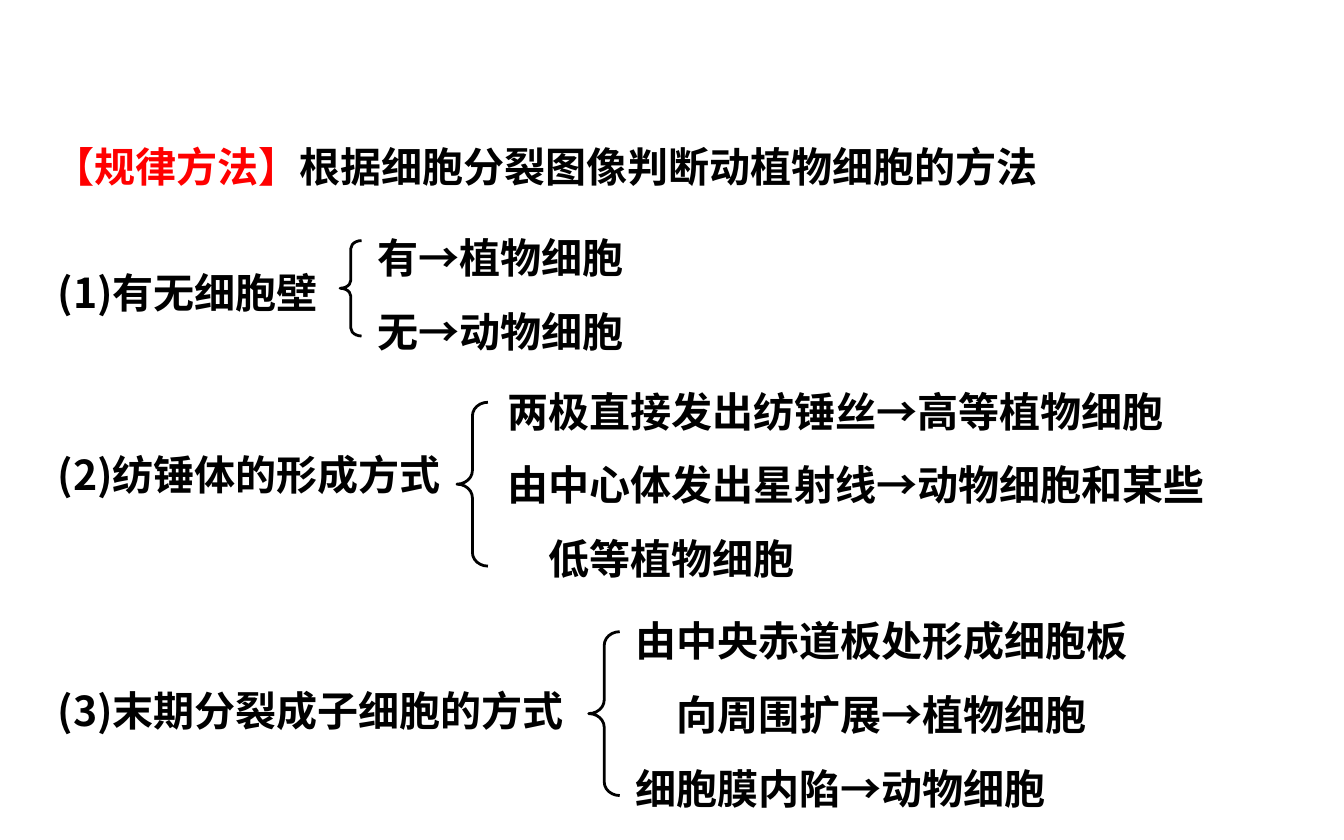
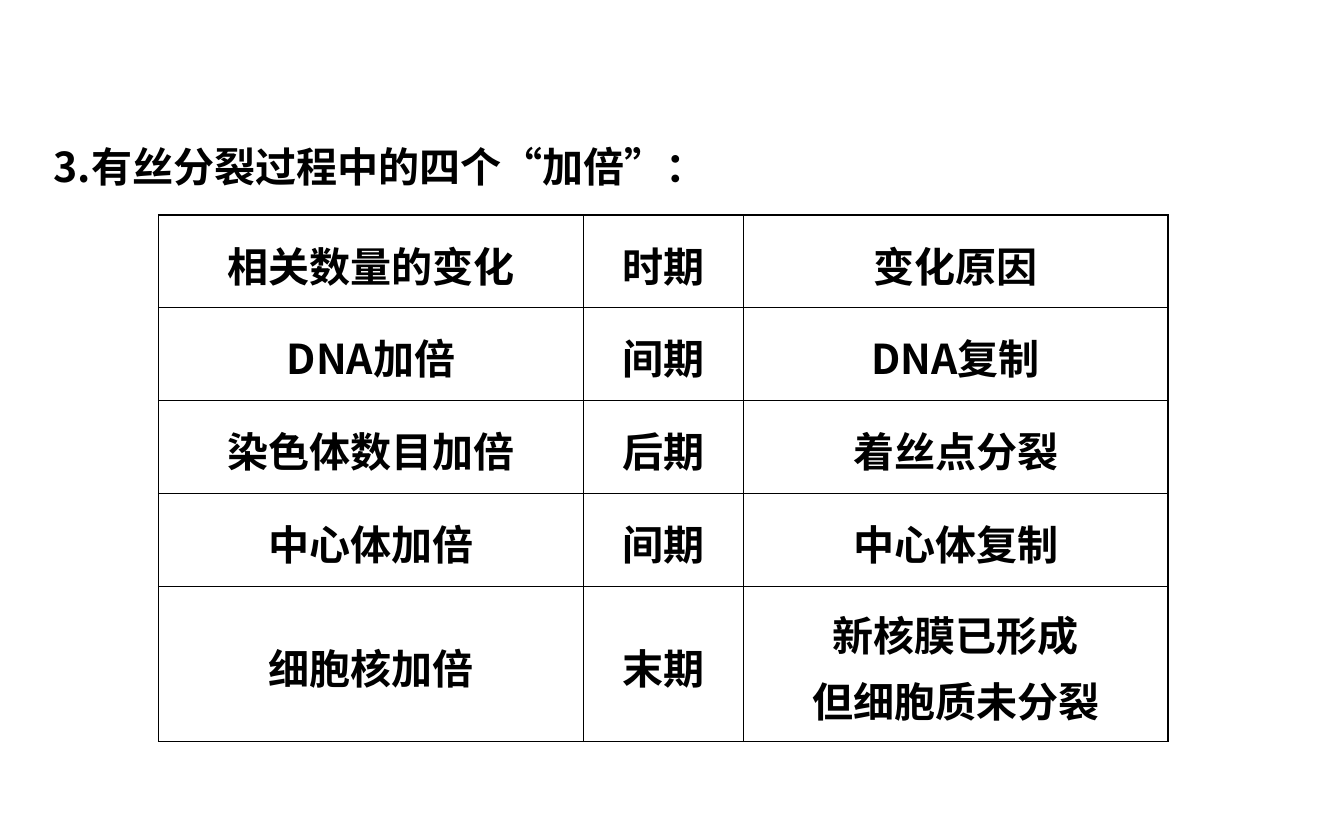
"""Build two slides on mitosis: telling cell types apart and the four doublings."""
from pptx import Presentation
from pptx.dml.color import RGBColor
from pptx.enum import shapes, text
from pptx.oxml import ns, xmlchemy
from pptx.util import Pt

BLACK = RGBColor(0x00, 0x00, 0x00)
RED = RGBColor(0xFF, 0x00, 0x00)
FACE = "Noto Sans CJK SC"
SIZE = 22
FONT = {"name": FACE, "size": Pt(SIZE), "bold": True}
BOX = {"word_wrap": True, "auto_size": text.MSO_AUTO_SIZE.SHAPE_TO_FIT_TEXT,
       "vertical_anchor": text.MSO_ANCHOR.TOP}
BODY = {"line_spacing": 1.5, "alignment": text.PP_ALIGN.LEFT}
CELL = {"line_spacing": 1.1, "alignment": text.PP_ALIGN.CENTER}
OUTER, INNER = 0.96, 0.45
LINE_HEIGHT = 46.8

GROUPS = [
    {"label": "(1)有无细胞壁", "label_box": (23.8, 126.7, 233.3),
     "brace": (182.2, 128.9, 11.5, 51.1), "branch_box": (195.1, 108, 360, 86.4),
     "branches": [("有→植物细胞", 0), ("无→动物细胞", 0)]},
    {"label": "(2)纺锤体的形成方式", "label_box": (23.8, 223.9, 290.9),
     "brace": (244.8, 215.5, 16.6, 87.8), "branch_box": (265, 190.1, 455, 126),
     "branches": [("两极直接发出纺锤丝→高等植物细胞", 0),
                  ("由中心体发出星射线→动物细胞和某些", 0),
                  ("低等植物细胞", 1)]},
    {"label": "(3)末期分裂成子细胞的方式", "label_box": (23.8, 350.6, 357.8),
     "brace": (315.4, 338.4, 16.6, 87.8), "branch_box": (333.4, 313.2, 432.7, 126),
     "branches": [("由中央赤道板处形成细胞板", 0),
                  ("向周围扩展→植物细胞", 1),
                  ("细胞膜内陷→动物细胞", 0)]},
]
DOUBLINGS = [
    ("相关数量的变化", "时期", "变化原因"),
    ("DNA加倍", "间期", "DNA复制"),
    ("染色体数目加倍", "后期", "着丝点分裂"),
    ("中心体加倍", "间期", "中心体复制"),
    ("细胞核加倍", "末期", "新核膜已形成\n但细胞质未分裂"),
]
COLUMN_WIDTHS = (227.5, 85.7, 227.5)
ROW_HEIGHTS = (49.7,) * 4 + (83.3,)


def apply(target, values):
    for name, value in values.items():
        setattr(target, name, value)


def add_run(p, content, color=BLACK):
    r = p.add_run()
    r.text = content
    r.font.color.rgb = color
    apply(r.font, FONT)
    ea = xmlchemy.OxmlElement("a:ea")
    ea.set("typeface", FACE)
    r.font._element.append(ea)


def add_lines(tf, lines, style):
    for i, (content, indent) in enumerate(lines):
        p = tf.add_paragraph() if i else tf.paragraphs[0]
        apply(p, style)
        if indent:
            p._p.get_or_add_pPr().set("marL", str(Pt(SIZE * indent)))
        add_run(p, content)


def add_title(s, runs):
    sp = s.shapes.title
    place = dict(zip(("left", "top", "width", "height"),
                     map(Pt, (21.6, 59, 679, LINE_HEIGHT))))
    apply(sp, place)
    apply(sp.text_frame, BOX)
    p = sp.text_frame.paragraphs[0]
    apply(p, BODY)
    for content, color in runs:
        add_run(p, content, color)


def add_text(s, box, lines):
    tf = s.shapes.add_textbox(*map(Pt, box)).text_frame
    apply(tf, BOX)
    add_lines(tf, lines, BODY)


def add_brace(s, box):
    sp = s.shapes.add_shape(shapes.MSO_SHAPE.LEFT_BRACE, *map(Pt, box))
    sp.shadow.inherit = False
    sp.fill.background()
    sp.line.color.rgb = BLACK
    sp.line.width = Pt(1.5)
    width, height = box[2:]
    sp.adjustments[0] = height / 12 / width


def add_border(cell, side, width):
    ln = xmlchemy.OxmlElement(f"a:ln{side}")
    ln.set("w", str(Pt(width)))
    fill = xmlchemy.OxmlElement("a:solidFill")
    color = xmlchemy.OxmlElement("a:srgbClr")
    color.set("val", str(BLACK))
    fill.append(color)
    ln.append(fill)
    cell._tc.get_or_add_tcPr().append(ln)


def add_grid(s, left, top, rows):
    box = (left, top, sum(COLUMN_WIDTHS), sum(ROW_HEIGHTS))
    table = s.shapes.add_table(len(rows), len(COLUMN_WIDTHS), *map(Pt, box)).table
    apply(table, {"first_row": False, "horz_banding": False})
    for column, width in zip(table.columns, COLUMN_WIDTHS):
        column.width = Pt(width)
    for row, height in zip(table.rows, ROW_HEIGHTS):
        row.height = Pt(height)
    last_row, last_column = len(rows) - 1, len(COLUMN_WIDTHS) - 1
    for i, row in enumerate(rows):
        for j, content in enumerate(row):
            cell = table.cell(i, j)
            cell.vertical_anchor = text.MSO_ANCHOR.MIDDLE
            edges = {"L": j == 0, "R": j == last_column,
                     "T": i == 0, "B": i == last_row}
            for side, is_outer in edges.items():
                add_border(cell, side, OUTER if is_outer else INNER)
            cell.fill.background()
            lines = [(line, 0) for line in content.split("\n")]
            add_lines(cell.text_frame, lines, CELL)


def main():
    prs = Presentation()
    prs.slide_width, prs.slide_height = Pt(720), Pt(450)
    title_only = prs.slide_layouts[5]

    s = prs.slides.add_slide(title_only)
    add_title(s, [("【规律方法】", RED),
                  ("根据细胞分裂图像判断动植物细胞的方法", BLACK)])
    for group in GROUPS:
        add_text(s, (*group["label_box"], LINE_HEIGHT), [(group["label"], 0)])
        add_text(s, group["branch_box"], group["branches"])
        add_brace(s, group["brace"])

    s = prs.slides.add_slide(title_only)
    add_title(s, [("3.有丝分裂过程中的四个“加倍”：", BLACK)])
    add_grid(s, 85, 115.2, DOUBLINGS)

    prs.save("out.pptx")


if __name__ == "__main__":
    main()
